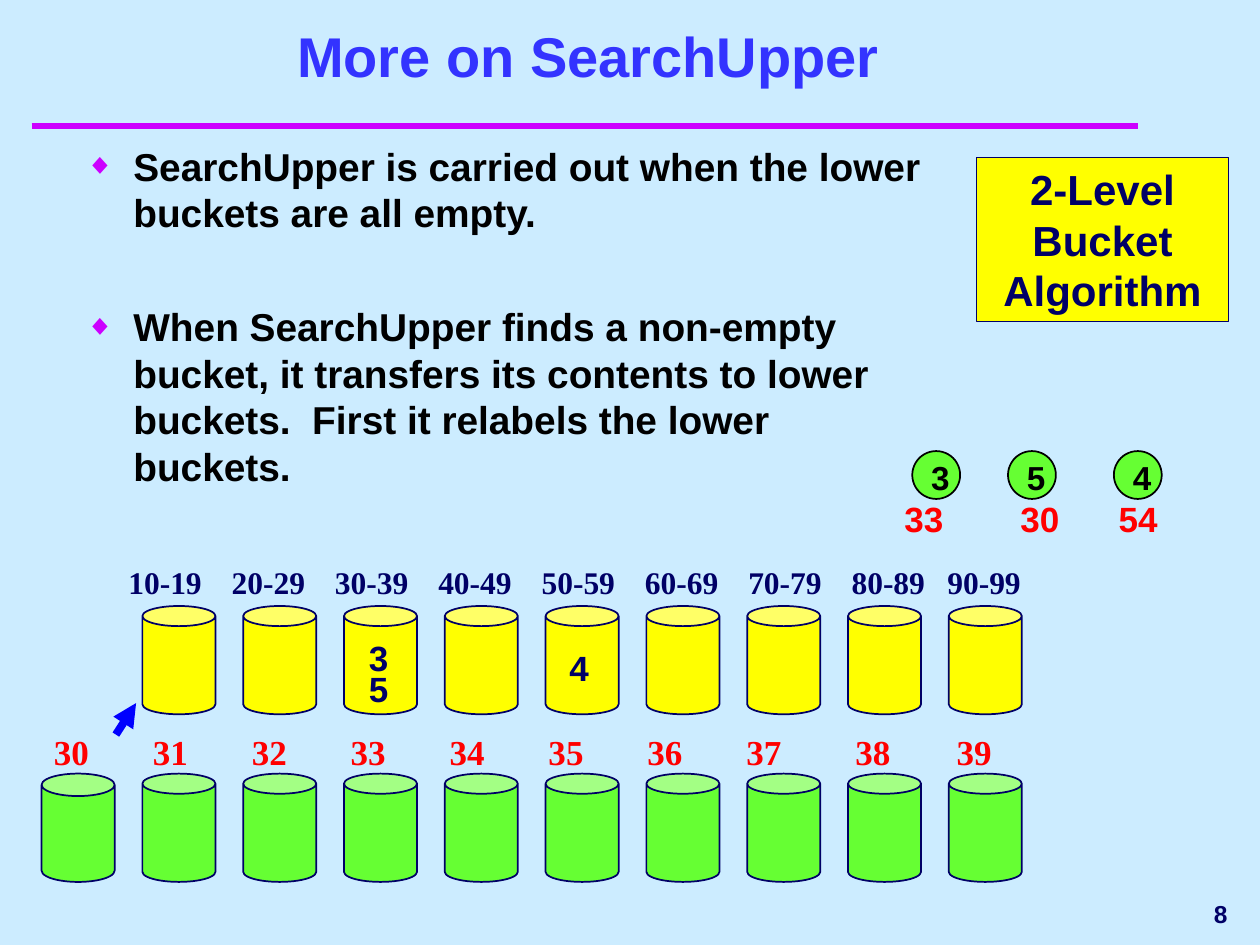
"""Build the slide on SearchUpper in the two-level bucket algorithm."""
import dataclasses

import lxml.etree
import pptx
import pptx.dml.color
import pptx.enum.shapes
import pptx.enum.text
import pptx.oxml.ns
import pptx.util

Inches = pptx.util.Inches
Pt = pptx.util.Pt
Align = pptx.enum.text.PP_ALIGN
Anchor = pptx.enum.text.MSO_ANCHOR
Kind = pptx.enum.shapes.MSO_SHAPE
qn = pptx.oxml.ns.qn


@dataclasses.dataclass(frozen=True)
class Theme:
    sky: str = "CCECFF"
    pink: str = "CC00FF"
    title: str = "3333FF"
    navy: str = "000066"
    black: str = "000000"
    red: str = "FF0000"
    blue: str = "0000FF"
    yellow: str = "FFFF00"
    green: str = "66FF33"
    sans: str = "Arial"
    serif: str = "Times New Roman"
    head: float = 32
    callout: float = 24
    body: float = 22.2
    label: float = 20
    item: float = 19
    range: float = 18
    page: float = 14


class Maker:
    def __init__(self, slide, theme):
        self.slide = slide
        self.theme = theme
        self.paint(slide.background.fill, theme.sky)

    def paint(self, fill, color):
        fill.solid()
        fill.fore_color.rgb = pptx.dml.color.RGBColor.from_string(color)

    def style(self, para, size, color, face=None):
        font = para.font
        font.name = face or self.theme.sans
        font.size = Pt(size)
        font.bold = True
        font.color.rgb = pptx.dml.color.RGBColor.from_string(color)

    def text(self, box, words, size, color, face=None, align=Align.LEFT,
             anchor=Anchor.TOP, tight=False):
        frame = self.slide.shapes.add_textbox(*map(Inches, box)).text_frame
        frame.word_wrap = not tight
        frame.vertical_anchor = anchor
        if tight:
            frame.margin_left = frame.margin_right = 0
            frame.margin_top = frame.margin_bottom = 0
        para = frame.paragraphs[0]
        para.text = words
        para.alignment = align
        self.style(para, size, color, face)

    def bullets(self, box, lines, gap):
        frame = self.slide.shapes.add_textbox(*map(Inches, box)).text_frame
        frame.word_wrap = True
        for index, words in enumerate(lines):
            para = frame.add_paragraph() if index else frame.paragraphs[0]
            para.text = words
            para.space_before = Pt(gap if index else 6)
            self.style(para, self.theme.body, self.theme.black)
            self.mark(para)

    def mark(self, para):
        props = para._p.get_or_add_pPr()
        props.set("marL", str(Inches(0.38)))
        props.set("indent", str(Inches(-0.38)))
        nodes = []
        for tag, key, value in (("a:buClr", None, None),
                                ("a:buSzPct", "val", "75000"),
                                ("a:buFont", "typeface", self.theme.sans),
                                ("a:buChar", "char", "◆")):
            node = lxml.etree.Element(qn(tag))
            if key:
                node.set(key, value)
            else:
                tint = lxml.etree.SubElement(node, qn("a:srgbClr"))
                tint.set("val", self.theme.pink)
            nodes.append(node)
        place = props.index(props.find(qn("a:defRPr")))
        props[place:place] = nodes

    def shape(self, kind, box, fill, line, width=1):
        shape = self.slide.shapes.add_shape(kind, *map(Inches, box))
        shape.shadow.inherit = False
        self.paint(shape.fill, fill)
        self.paint(shape.line.fill, line)
        shape.line.width = Pt(width)
        return shape

    def can(self, left, top, fill, lid=0.276):
        can = self.shape(Kind.CAN, (left, top, 0.58, 0.86), fill,
                         self.theme.navy)
        can.adjustments[0] = lid

    def note(self, box, words):
        shape = self.shape(Kind.RECTANGLE, box, self.theme.yellow,
                           self.theme.navy, 0.75)
        frame = shape.text_frame
        frame.word_wrap = True
        frame.vertical_anchor = Anchor.TOP
        para = frame.paragraphs[0]
        para.text = words
        para.alignment = Align.CENTER
        self.style(para, self.theme.callout, self.theme.navy)

    def line(self, ends, color, width, arrow=False):
        line = self.slide.shapes.add_connector(
            pptx.enum.shapes.MSO_CONNECTOR.STRAIGHT, *map(Inches, ends))
        self.paint(line.line.fill, color)
        line.line.width = Pt(width)
        if arrow:
            tip = lxml.etree.SubElement(line.line._get_or_add_ln(),
                                        qn("a:tailEnd"))
            tip.set("type", "triangle")
        lxml.etree.SubElement(line._element.spPr, qn("a:effectLst"))

    def node(self, left, name, value, shift):
        theme = self.theme
        self.shape(Kind.OVAL, (left, 3.58, 0.38, 0.38), theme.green,
                   theme.black)
        self.text((left + 0.15, 3.63, 0.15, 0.32), name, theme.item,
                  theme.black, tight=True)
        self.text((left + shift, 3.9, 0.58, 0.44), value, theme.label,
                  theme.red)


def main():
    deck = pptx.Presentation()
    deck.slide_width, deck.slide_height = Inches(10), Inches(7.5)
    theme = Theme()
    make = Maker(deck.slides.add_slide(deck.slide_layouts[6]), theme)

    make.line((0.25, 1, 9.03, 1), theme.pink, 4)
    make.text((0.42, 0.17, 8.5, 0.58), "More on SearchUpper", theme.head,
              theme.title, align=Align.CENTER, anchor=Anchor.BOTTOM)
    make.bullets((0.58, 1.08, 6.92, 2.75), (
        "SearchUpper is carried out when the lower buckets are all empty.",
        "When SearchUpper finds a non-empty bucket, it transfers its contents "
        "to lower buckets.  First it relabels the lower buckets."), 38.5)
    make.text((7.92, 7, 1.92, 0.5), "8", theme.page, theme.navy,
              align=Align.RIGHT, anchor=Anchor.MIDDLE)

    nudge = {8: 0.08, 9: 0.1}
    for index in range(10):
        left = 0.33 + 0.8 * index
        make.can(left, 6.14, theme.green, 0.276 if index else 0.308)
        make.text((0.33 + 0.785 * index + nudge.get(index, 0), 5.75, 0.64, 0.44),
                  str(30 + index), theme.label, theme.red, theme.serif)
        if index:
            make.can(left, 4.81, theme.yellow)
            start = 7.42 if index == 9 else 0.1 + 0.82 * index
            make.text((start, 4.42, 0.92, 0.4), f"{index}0-{index}9",
                      theme.range, theme.navy, theme.serif)

    for left, top, name in ((2.83, 5, "3"), (2.83, 5.25, "5"), (4.42, 5.08, "4")):
        make.text((left, top, 0.33, 0.44), name, theme.label, theme.navy)
    for left, name, value, shift in ((7.24, "3", "33", -0.16),
                                     (8, "5", "30", 0),
                                     (8.84, "4", "54", -0.06)):
        make.node(left, name, value, shift)
    make.line((0.92, 5.83, 1.08, 5.58), theme.blue, 4.5, arrow=True)
    make.note((7.75, 1.25, 2, 1.3), "2-Level Bucket Algorithm")
    deck.save("out.pptx")


if __name__ == "__main__":
    main()
